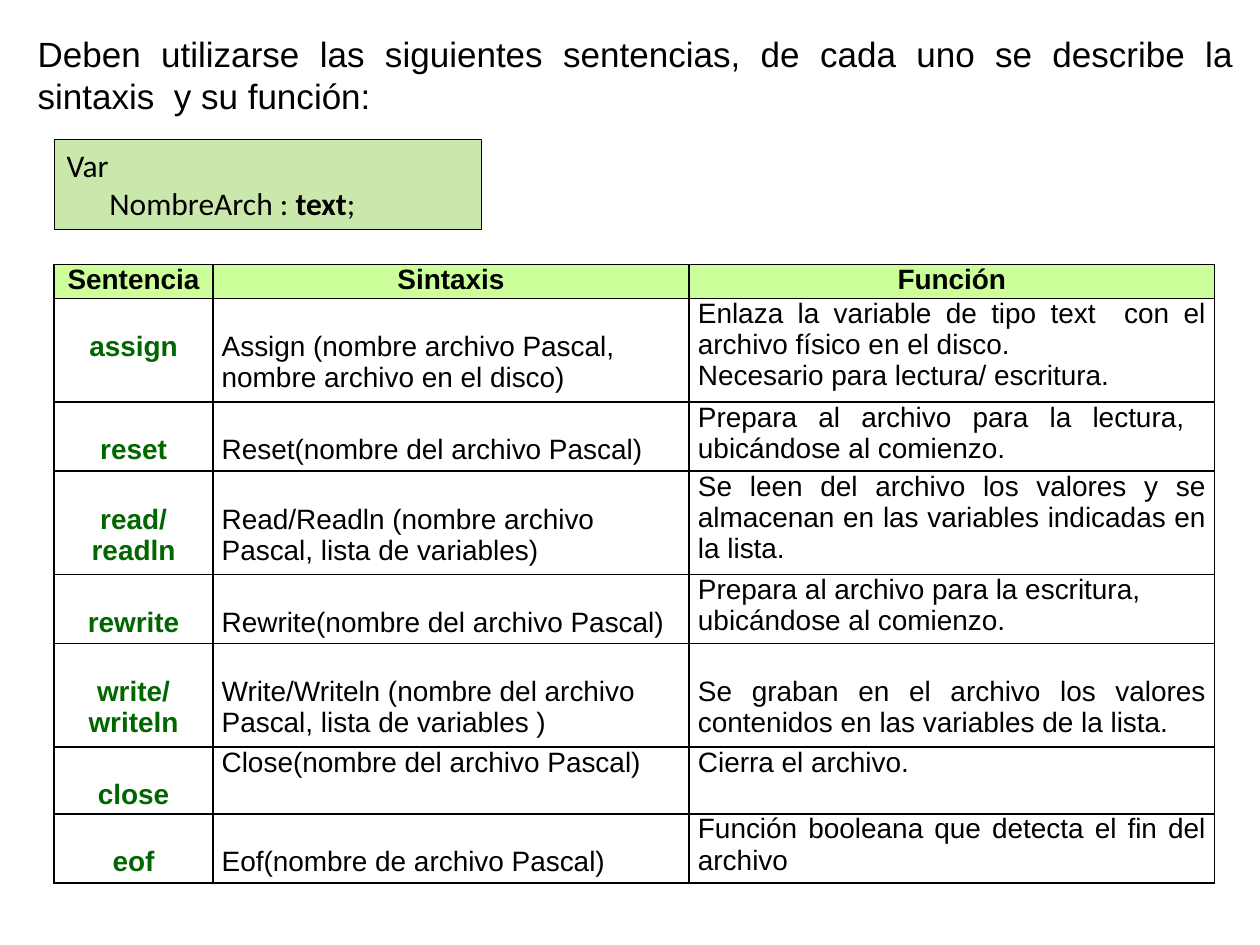
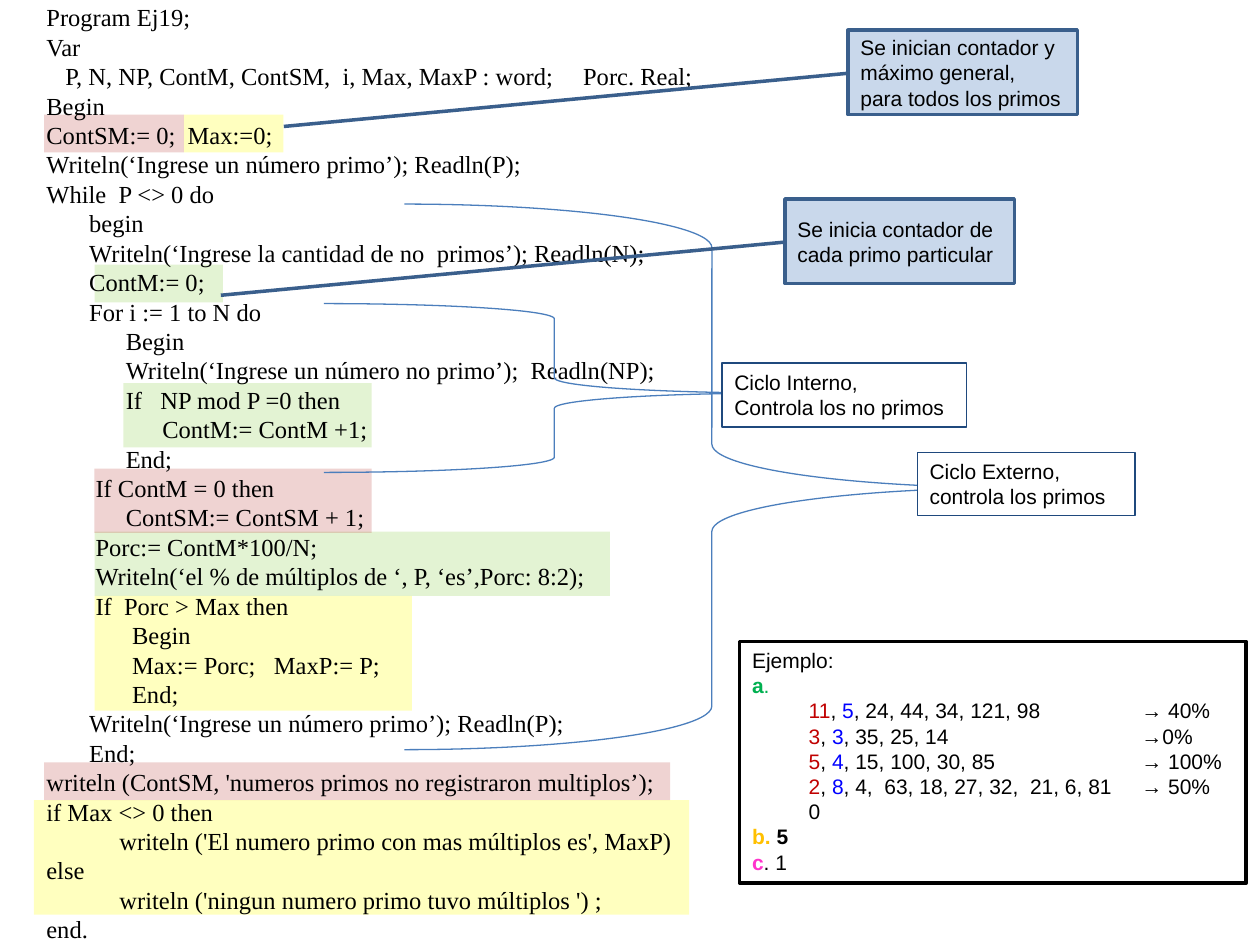
from lxml import etree
from pptx import Presentation
from pptx.dml.color import RGBColor
from pptx.enum.shapes import MSO_SHAPE
from pptx.enum.text import MSO_ANCHOR, PP_ALIGN
from pptx.oxml.ns import qn
from pptx.util import Inches, Pt

RECT, BRACE, CALLOUT = MSO_SHAPE.RECTANGLE, MSO_SHAPE.RIGHT_BRACE, MSO_SHAPE.LINE_CALLOUT_1
LEFT, CENTER, JUSTIFY = PP_ALIGN.LEFT, PP_ALIGN.CENTER, PP_ALIGN.JUSTIFY
TOP, MIDDLE = MSO_ANCHOR.TOP, MSO_ANCHOR.MIDDLE

BLACK, WHITE, RED, BLUE = "000000", "FFFFFF", "C00000", "0000FF"
KEYWORD, HEADER_FILL = "006600", "CCFF99"
YELLOW, PINK, GREEN = "FFFF00", "C0504D", "92D050"
BRACE_LINE, NOTE_LINE, CALLOUT_LINE, CALLOUT_FILL = "4B7EBC", "1F497D", "3A5F8C", "4F81BD"
rgb = RGBColor.from_string


def add_box(slide, kind, at, fill=None, opacity=100, line=None, width=0.75):
    sp = slide.shapes.add_shape(kind, *map(Inches, at))
    sp.shadow.inherit = False
    if fill:
        sp.fill.solid()
        sp.fill.fore_color.rgb = rgb(fill)
        if opacity < 100:
            color = sp.fill._xPr.find(".//" + qn("a:srgbClr"))
            etree.SubElement(color, qn("a:alpha"), val=str(opacity * 1000))
    else:
        sp.fill.background()
    if line:
        sp.line.color.rgb = rgb(line)
        sp.line.width = Pt(width)
    else:
        sp.line.fill.background()
    return sp


def write(tf, lines, size, font="Arial", color=BLACK, bold=False, align=LEFT, anchor=TOP, tabs=()):
    """Fill a text frame; a line is a string or a list of (text, colour, bold) runs."""
    tf.word_wrap = True
    tf.vertical_anchor = anchor
    for i, line in enumerate(lines):
        p = tf.add_paragraph() if i else tf.paragraphs[0]
        p.alignment = align
        p.font.name, p.font.size, p.font.bold = font, Pt(size), bold
        p.font.color.rgb = rgb(color)
        if tabs:
            tab_list = etree.Element(qn("a:tabLst"))
            for stop in tabs:
                etree.SubElement(tab_list, qn("a:tab"), pos=str(Inches(stop)), algn="l")
            p._p.get_or_add_pPr().insert(0, tab_list)
        for text, run_color, run_bold in [(line, color, bold)] if isinstance(line, str) else line:
            r = p.add_run()
            r.text = text
            if run_color != color:
                r.font.color.rgb = rgb(run_color)
            if run_bold != bold:
                r.font.bold = run_bold


prs = Presentation()
prs.slide_width, prs.slide_height = Inches(10), Inches(7.5)
blank = prs.slide_layouts[6]

# Slide 1: file statements
s = prs.slides.add_slide(blank)
LINE_DROP = 0.26  # height of one table text line
HEADERS = ["Sentencia", "Sintaxis", "Función"]
COL_WIDTHS = [1.26, 3.78, 4.17]
ROW_HEIGHTS = [0.27, 0.82, 0.55, 0.82, 0.55, 0.82, 0.53, 0.55]
STATEMENTS = [
    ("assign", "Assign (nombre archivo Pascal,\nnombre archivo en el disco)",
     "Enlaza la variable de tipo text  con el archivo físico en el disco.\n"
     "Necesario para lectura/ escritura."),
    ("reset", "Reset(nombre del archivo Pascal)",
     "Prepara al archivo para la lectura,  ubicándose al comienzo."),
    ("read/\nreadln", "Read/Readln (nombre archivo Pascal, lista de variables)",
     "Se leen del archivo los valores y se almacenan en las variables indicadas en la lista."),
    ("rewrite", "Rewrite(nombre del archivo Pascal)",
     "Prepara al archivo para la escritura,\nubicándose al comienzo."),
    ("write/\nwriteln", "Write/Writeln (nombre del archivo Pascal, lista de variables )",
     "Se graban en el archivo los valores contenidos en las variables de la lista."),
    ("close", "Close(nombre del archivo Pascal)", "Cierra el archivo."),
    ("eof", "Eof(nombre de archivo Pascal)",
     "Función booleana que detecta el fin del archivo"),
]
CLOSE_ROW, WRITE_ROW = 6, 5

table = s.shapes.add_table(len(ROW_HEIGHTS), len(COL_WIDTHS), Inches(0.43), Inches(2.1),
                           Inches(sum(COL_WIDTHS)), Inches(sum(ROW_HEIGHTS))).table
table.first_row = table.horz_banding = False
for column, width in zip(table.columns, COL_WIDTHS):
    column.width = Inches(width)
for row, height in zip(table.rows, ROW_HEIGHTS):
    row.height = Inches(height)

for i, texts in enumerate([HEADERS] + STATEMENTS):
    for j, text in enumerate(texts):
        cell = table.cell(i, j)
        dropped = i > 0 and (j == 0 or (j == 1 and i != CLOSE_ROW) or (j == 2 and i == WRITE_ROW))
        cell.margin_left = cell.margin_right = Inches(0.07)
        cell.margin_top = Inches(LINE_DROP if dropped else 0)
        cell.margin_bottom = 0
        if i == 0:
            cell.fill.solid()
            cell.fill.fore_color.rgb = rgb(HEADER_FILL)
        else:
            cell.fill.background()
        tcPr = cell._tc.get_or_add_tcPr()
        for k, side in enumerate(("a:lnL", "a:lnR", "a:lnT", "a:lnB")):
            ln = etree.Element(qn(side), w=str(Pt(1)))
            solid = etree.SubElement(ln, qn("a:solidFill"))
            etree.SubElement(solid, qn("a:srgbClr"), val=BLACK)
            tcPr.insert(k, ln)
        write(cell.text_frame, text.split("\n"), 16,
              color=KEYWORD if i and j == 0 else BLACK, bold=i == 0 or j == 0,
              align=CENTER if i == 0 else (CENTER, LEFT, JUSTIFY)[j])

declaration = add_box(s, RECT, (0.43, 1.11, 3.39, 0.71), GREEN, 47, BLACK)
write(declaration.text_frame,
      ["Var", [("\tNombreArch : ", BLACK, False), ("text", BLACK, True), (";", BLACK, False)]],
      18, "Calibri", tabs=[0.34])

intro = s.shapes.add_textbox(Inches(0.2), Inches(0.21), Inches(9.69), Inches(0.77))
write(intro.text_frame,
      ["Deben utilizarse las siguientes sentencias, de cada uno se describe la "
       "sintaxis  y su función:"], 20, align=JUSTIFY)

# Slide 2: program with annotations
s = prs.slides.add_slide(blank)
HIGHLIGHTS = [
    (YELLOW, (0.27, 6.35, 5.2, 0.91)),
    (PINK, (0.35, 6.05, 4.97, 0.3)),
    (YELLOW, (0.75, 4.73, 2.52, 0.91)),
    (GREEN, (0.75, 4.22, 4.09, 0.51)),
    (PINK, (0.75, 3.72, 2.2, 0.51)),
    (GREEN, (0.98, 3.04, 1.97, 0.51)),
    (GREEN, (0.75, 2.1, 1.02, 0.3)),
    (YELLOW, (1.46, 0.91, 0.79, 0.3)),
    (PINK, (0.35, 0.91, 1.11, 0.3)),
]
for color, at in HIGHLIGHTS:
    add_box(s, RECT, at, color, 25)

# (indent in inches, code line)
CODE = [
    (0, "Program Ej19;"),
    (0, "Var"),
    (0, "\tP, N, NP, ContM, ContSM,  i, Max, MaxP : word;\tPorc. Real;"),
    (0, "Begin"),
    (0, "ContSM:= 0;  Max:=0;"),
    (0, "Writeln(‘Ingrese un número primo’); Readln(P);"),
    (0, "While  P <> 0 do"),
    (0.34, "begin"),
    (0.34, "Writeln(‘Ingrese la cantidad de no  primos’); Readln(N);"),
    (0.34, "ContM:= 0;"),
    (0.34, "For i := 1 to N do"),
    (0.63, "Begin"),
    (0.63, "Writeln(‘Ingrese un número no primo’);  Readln(NP);"),
    (0.63, "If   NP mod P =0 then"),
    (0.92, "ContM:= ContM +1;"),
    (0.63, "End;"),
    (0.39, "If ContM = 0 then"),
    (0.63, "ContSM:= ContSM + 1;"),
    (0.39, "Porc:= ContM*100/N;"),
    (0.39, "Writeln(‘el % de múltiplos de ‘, P, ‘es’,Porc: 8:2);"),
    (0.39, "If  Porc > Max then"),
    (0.68, "Begin"),
    (0.68, "Max:= Porc;   MaxP:= P;"),
    (0.68, "End;"),
    (0.34, "Writeln(‘Ingrese un número primo’); Readln(P);"),
    (0.34, "End;"),
    (0, "writeln (ContSM, 'numeros primos no registraron multiplos’);"),
    (0, "if Max <> 0 then"),
    (0.58, "writeln ('El numero primo con mas múltiplos es', MaxP)"),
    (0, "else"),
    (0.58, "writeln ('ningun numero primo tuvo múltiplos ') ;"),
    (0, "end."),
]
tf = s.shapes.add_textbox(Inches(0.27), Inches(-0.03), Inches(5.36), Inches(7.64)).text_frame
write(tf, [line for _, line in CODE], 14, "Times New Roman", tabs=[0.15, 4.26])
for p, (indent, _) in zip(tf.paragraphs, CODE):
    p._p.get_or_add_pPr().set("marL", str(Inches(indent)))

for at, curve, tip in [((3.21, 1.62, 4.88, 4.33), 0.08, 0.52),
                       ((2.57, 2.41, 3.66, 1.34), 0.09, 0.53)]:
    brace = add_box(s, BRACE, at, line=BRACE_LINE)
    brace.adjustments[0], brace.adjustments[1] = curve, tip

for at, lines in [((5.73, 2.88, 1.94, 0.51), ["Ciclo Interno,", "Controla los no primos"]),
                  ((7.28, 3.59, 1.73, 0.5), ["Ciclo Externo,", "controla los primos"])]:
    loop_note = add_box(s, RECT, at, WHITE, line=NOTE_LINE)
    write(loop_note.text_frame, lines, 12)

for left, top, lines in [
    (6.73, 0.24, ["Se inician contador y máximo general,", "para todos los primos"]),
    (6.23, 1.58, ["Se inicia contador de cada primo particular"]),
]:
    callout = add_box(s, CALLOUT, (left, top, 1.82, 0.67), CALLOUT_FILL, 30, CALLOUT_LINE, 2)
    for k, value in enumerate((0.51, 0, 1.14, -2.46)):
        callout.adjustments[k] = value
    write(callout.text_frame, lines, 12, anchor=MIDDLE)

# (prime, count, numbers, share of multiples)
SAMPLES = [
    ("11", "5", "24, 44, 34, 121, 98", "→ 40%"),
    ("3", "3", "35, 25, 14", "→0%"),
    ("5", "4", "15, 100, 30, 85", "→ 100%"),
    ("2", "8", "4,  63, 18, 27, 32,  21, 6, 81", "→ 50%"),
]
sample_lines = [
    [("\t", BLACK, False), (prime, RED, False), (", ", BLACK, False), (count, BLUE, False),
     (f", {numbers}\t{share}", BLACK, False)]
    for prime, count, numbers, share in SAMPLES
]
example = add_box(s, RECT, (5.87, 5.09, 4.02, 1.92), WHITE, line=BLACK, width=2)
write(example.text_frame,
      ["Ejemplo:", [("a", "00B050", True), (".", "00B050", False)], *sample_lines, "\t0",
       [("b. ", "FFC000", True), ("5", BLACK, True)],
       [("c", "FF33CC", True), (". 1", BLACK, False)]],
      12, tabs=[0.45, 3.09])

prs.save("out.pptx")
